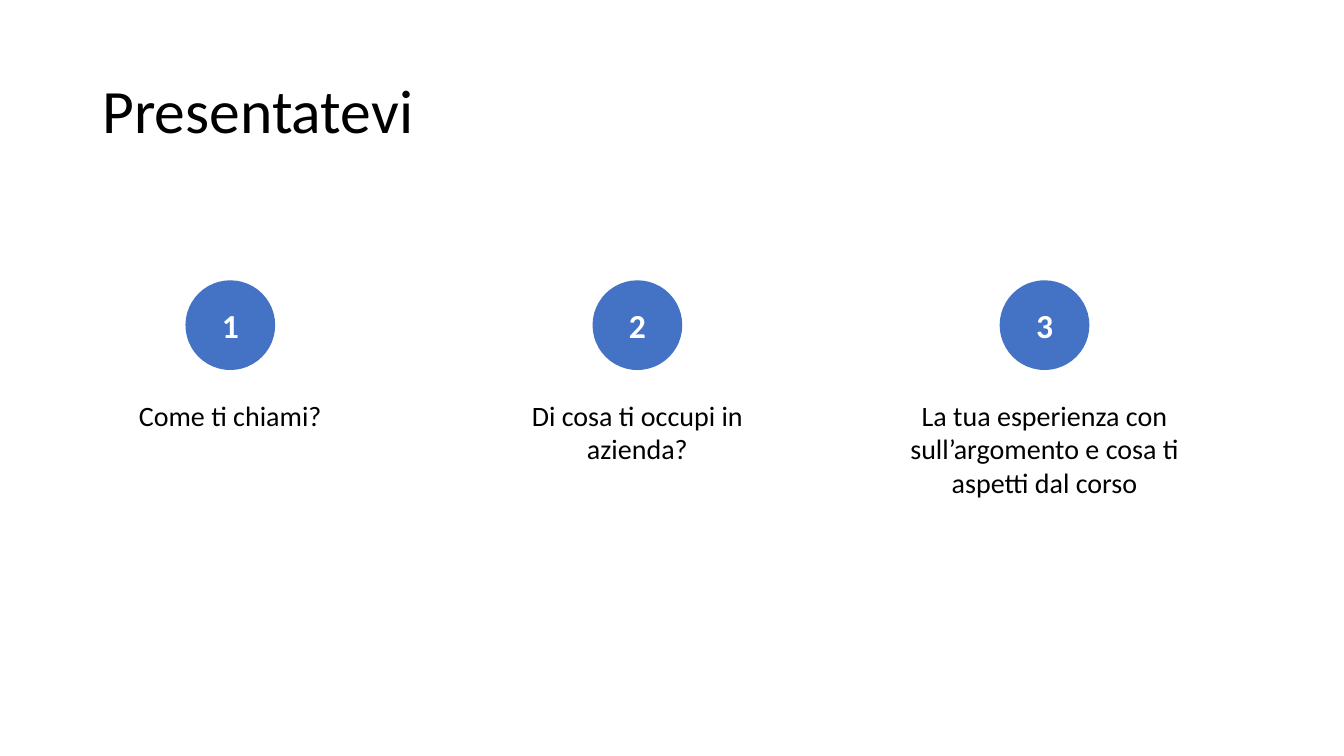
from pptx import Presentation
from pptx import util as u
from pptx.dml import color
from pptx.enum import shapes, text


def hex_color(value):
    return color.RGBColor.from_string(value)


def write(shape, words, size, ink="000000", bold=False,
          align=text.PP_ALIGN.CENTER, anchor=text.MSO_ANCHOR.TOP, spacing=1.0):
    frame = shape.text_frame
    frame.word_wrap = True
    frame.auto_size = text.MSO_AUTO_SIZE.NONE
    frame.vertical_anchor = anchor
    para = frame.paragraphs[0]
    para.alignment = align
    para.line_spacing = spacing
    span = para.add_run()
    span.text = words
    span.font.name = "Calibri"
    span.font.size = u.Pt(size)
    span.font.bold = bold
    span.font.color.rgb = hex_color(ink)


# Deck and page
deck = Presentation()
deck.slide_width, deck.slide_height = u.Pt(960), u.Pt(540)
page = deck.slides.add_slide(deck.slide_layouts[5])

# Title
title = page.shapes.title
title.left, title.top = u.Pt(66), u.Pt(28.75)
title.width, title.height = u.Pt(828), u.Pt(104.4)
write(title, "Presentatevi", 44, align=text.PP_ALIGN.LEFT,
      anchor=text.MSO_ANCHOR.MIDDLE, spacing=0.9)

# Numbered questions, evenly spaced: wording and box width
questions = [
    ("Come ti chiami?", 158.4),
    ("Di cosa ti occupi in azienda?", 182.9),
    ("La tua esperienza con sull’argomento e cosa ti aspetti dal corso", 232.6),
]
first_center, step, diameter = 164.5, 290.8, 64.1

for index, (question, width) in enumerate(questions):
    center = first_center + index * step

    # Number disc
    disc = page.shapes.add_shape(
        shapes.MSO_SHAPE.OVAL, u.Pt(center - diameter / 2), u.Pt(200.2),
        u.Pt(diameter), u.Pt(diameter))
    disc.shadow.inherit = False
    disc.fill.solid()
    disc.fill.fore_color.rgb = hex_color("4472C4")
    disc.line.fill.background()
    write(disc, str(index + 1), 24, ink="FFFFFF", bold=True,
          anchor=text.MSO_ANCHOR.MIDDLE)

    # Question below the disc
    box = page.shapes.add_textbox(
        u.Pt(center - width / 2), u.Pt(280.8), u.Pt(width), u.Pt(173.5))
    write(box, question, 20)

deck.save("out.pptx")
